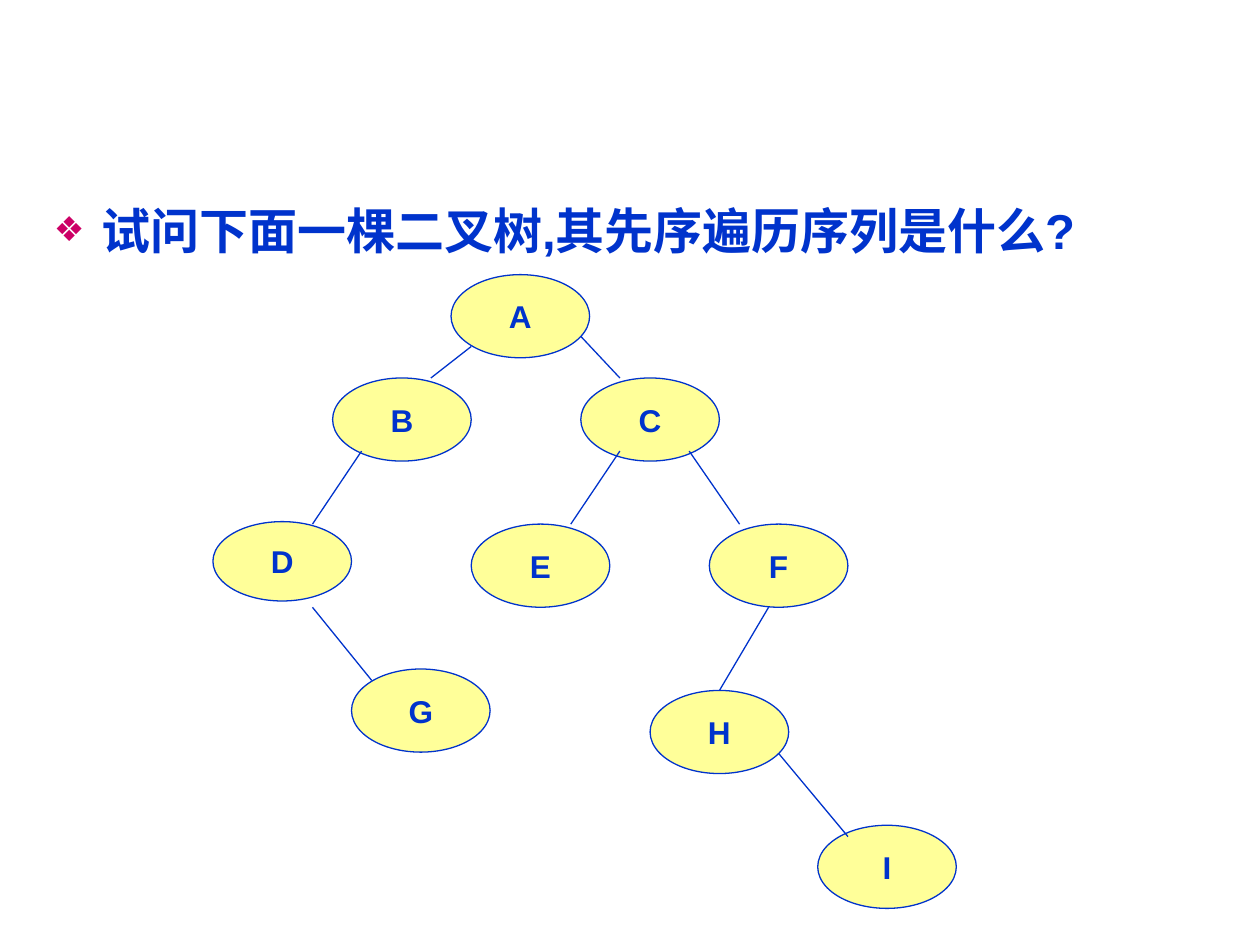
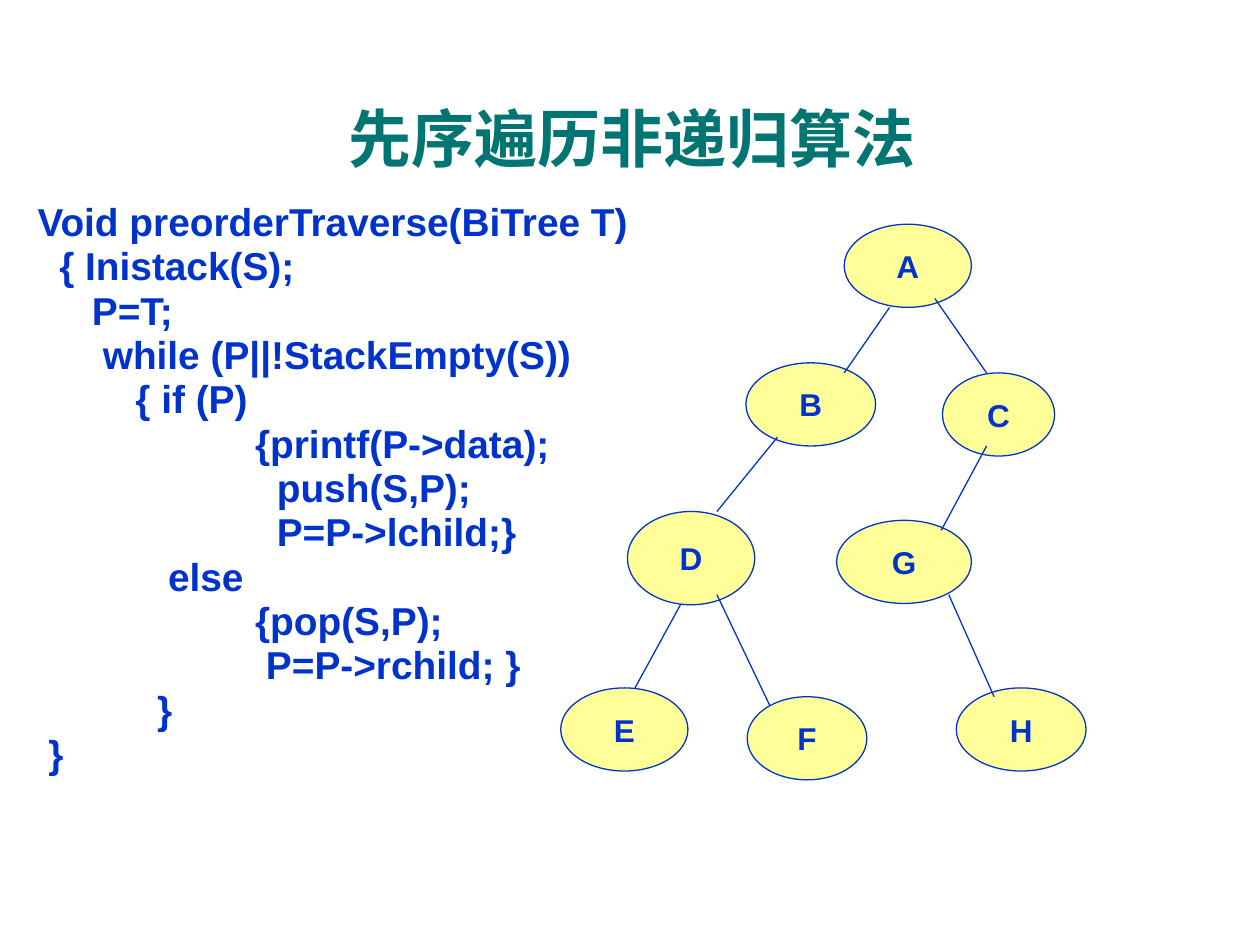
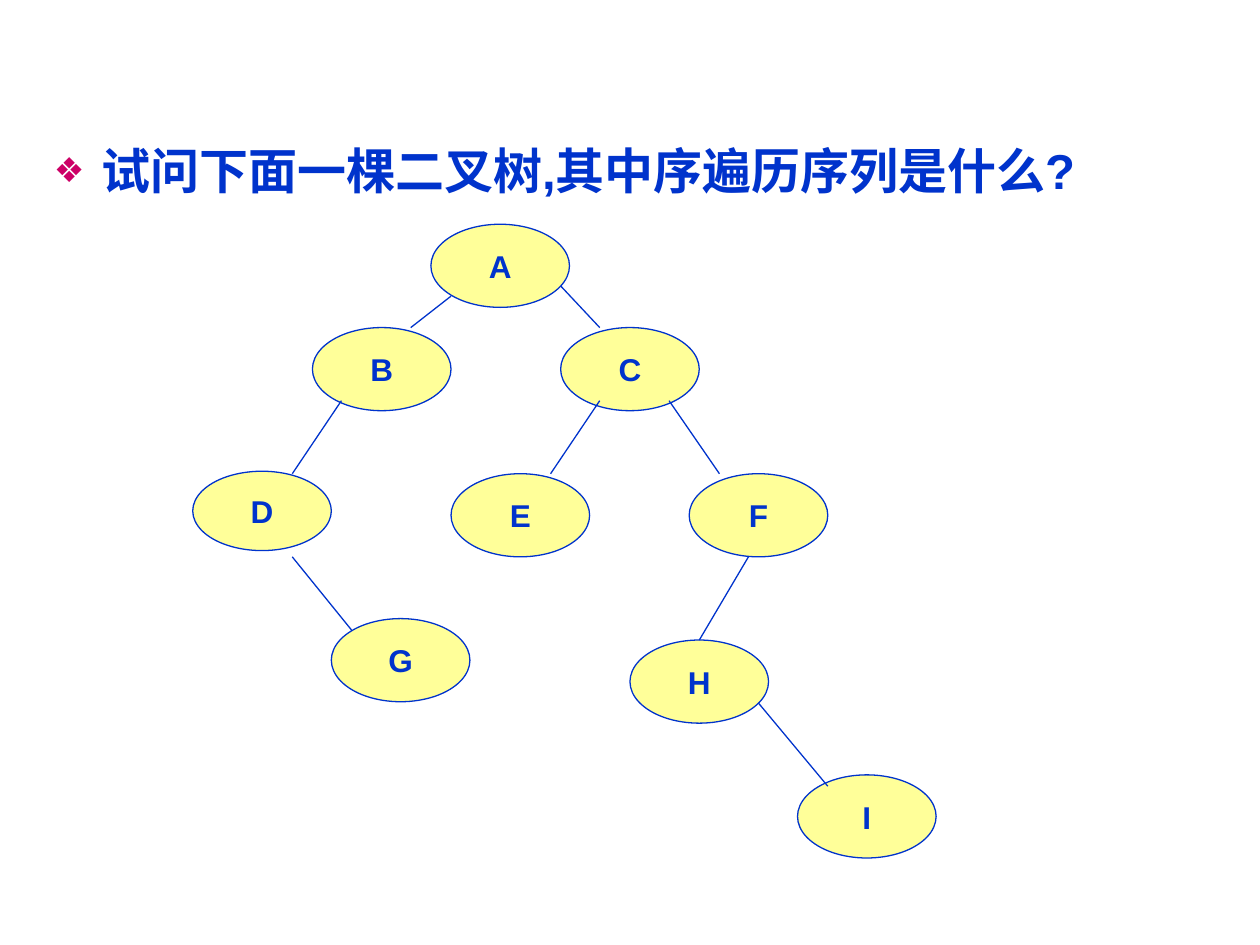
from dataclasses import dataclass

from lxml import etree
from pptx import Presentation
from pptx.dml.color import RGBColor
from pptx.enum.shapes import MSO_CONNECTOR, MSO_SHAPE
from pptx.enum.text import MSO_ANCHOR, PP_ALIGN
from pptx.oxml.ns import qn
from pptx.util import Inches, Pt

OVAL = MSO_SHAPE.OVAL
STRAIGHT = MSO_CONNECTOR.STRAIGHT
CENTER = PP_ALIGN.CENTER
TOP = MSO_ANCHOR.TOP
MIDDLE = MSO_ANCHOR.MIDDLE


@dataclass(frozen=True)
class Theme:
    font: str = "Arial"
    ink: str = "0033CC"
    title: str = "007572"
    node: str = "FFFF99"
    bullet: str = "CC0066"
    title_size: float = 36
    question_size: float = 28
    code_size: float = 22.2
    node_size: float = 18
    line_width: float = 0.75
    hanging: float = 0.38
    bullet_percent: int = 70


@dataclass(frozen=True)
class Box:
    left: float
    top: float
    width: float
    height: float

    def inches(self):
        return [Inches(side) for side in (self.left, self.top, self.width, self.height)]


@dataclass(frozen=True)
class Tree:
    nodes: dict
    edges: list
    width: float = 1.1
    height: float = 0.66


THEME = Theme()
CODE_STEP = THEME.code_size * 0.28 / 72

QUESTION_TREE = Tree(
    nodes={
        "D": (0, 1.96, 1.1, 0.63),
        "A": (1.89, 0),
        "B": (0.95, 0.82),
        "C": (2.92, 0.82),
        "G": (1.1, 3.13),
        "E": (2.05, 1.98),
        "F": (3.94, 1.98),
        "H": (3.47, 3.3),
        "I": (4.8, 4.37),
    },
    edges=[
        (2.05, 0.57, 1.73, 0.82),
        (1.18, 1.4, 0.79, 1.98),
        (3.78, 1.4, 4.18, 1.98),
        (0.79, 2.64, 1.26, 3.22),
        (2.92, 0.49, 3.23, 0.82),
        (3.23, 1.4, 2.84, 1.98),
        (4.41, 2.64, 4.02, 3.3),
        (4.49, 3.8, 5.04, 4.46),
    ],
)

ALGORITHM_TREE = Tree(
    nodes={
        "B": (1.47, 1.1, 1.03),
        "H": (3.14, 3.68, 1.03),
        "A": (2.25, 0),
        "C": (3.03, 1.18, 0.89),
        "D": (0.53, 2.28, 1.01, 0.74),
        "E": (0, 3.68),
        "F": (1.48, 3.75, 0.95),
        "G": (2.19, 2.35, 1.07),
    },
    edges=[
        (2.61, 0.66, 2.25, 1.18),
        (2.97, 0.59, 3.38, 1.18),
        (1.72, 1.69, 1.24, 2.28),
        (3.38, 1.76, 3.02, 2.43),
        (0.95, 3.02, 0.59, 3.68),
        (1.24, 2.94, 1.66, 3.82),
        (3.08, 2.94, 3.44, 3.75),
    ],
    width=1.01,
)

CODE_LINES = [
    (0, "Void preorderTraverse(BiTree T)"),
    (2, "{ Inistack(S);"),
    (5, "P=T;"),
    (6, "while (P||!StackEmpty(S))"),
    (9, "{ if (P)"),
    (20, "{printf(P->data);"),
    (22, "push(S,P);"),
    (22, "P=P->lchild;}"),
    (12, "else"),
    (20, "{pop(S,P);"),
    (21, "P=P->rchild; }"),
    (11, "}"),
    (1, "}"),
]


def apply_format(target, values):
    for name, value in values.items():
        setattr(target, name, value)


def write(para, text, size, color=THEME.ink, **layout):
    apply_format(para, layout)
    span = para.add_run()
    span.text = text
    apply_format(span.font, {"name": THEME.font, "size": Pt(size), "bold": True})
    span.font.color.rgb = RGBColor.from_string(color)


def add_text_frame(page, box, anchor=TOP):
    frame = page.shapes.add_textbox(*box.inches()).text_frame
    apply_format(frame, {"word_wrap": True, "vertical_anchor": anchor})
    return frame


def set_indent(para, left, first):
    properties = para._p.get_or_add_pPr()
    properties.set("marL", str(Inches(left)))
    properties.set("indent", str(Inches(first)))
    return properties


def add_bullet(para):
    properties = set_indent(para, THEME.hanging, -THEME.hanging)
    color = etree.SubElement(properties, qn("a:buClr"))
    etree.SubElement(color, qn("a:srgbClr"), val=THEME.bullet)
    etree.SubElement(properties, qn("a:buSzPct"), val=str(THEME.bullet_percent * 1000))
    etree.SubElement(properties, qn("a:buFont"), typeface=THEME.font)
    etree.SubElement(properties, qn("a:buChar"), char="❖")


def draw_title(page, box, text):
    para = add_text_frame(page, box, MIDDLE).paragraphs[0]
    write(para, text, THEME.title_size, THEME.title, alignment=CENTER)


def draw_question(page, box, text):
    para = add_text_frame(page, box).paragraphs[0]
    write(para, text, THEME.question_size, space_before=Pt(7))
    add_bullet(para)


def draw_code(page, box, lines):
    frame = add_text_frame(page, box)
    for number, (depth, text) in enumerate(lines):
        para = frame.add_paragraph() if number else frame.paragraphs[0]
        write(para, text, THEME.code_size, line_spacing=0.7, space_before=Pt(6.7))
        set_indent(para, depth * CODE_STEP, 0)


def draw_line_style(line):
    line.color.rgb = RGBColor.from_string(THEME.ink)
    line.width = Pt(THEME.line_width)


def draw_node(group, box, label):
    node = group.shapes.add_shape(OVAL, *box.inches())
    node.shadow.inherit = False
    node.fill.solid()
    node.fill.fore_color.rgb = RGBColor.from_string(THEME.node)
    draw_line_style(node.line)
    apply_format(node.text_frame, {"word_wrap": False, "vertical_anchor": MIDDLE})
    write(node.text_frame.paragraphs[0], label, THEME.node_size, alignment=CENTER)


def draw_edge(group, *ends):
    edge = group.shapes.add_connector(STRAIGHT, *[Inches(end) for end in ends])
    draw_line_style(edge.line)
    etree.SubElement(edge._element.spPr, qn("a:effectLst"))


def draw_tree(page, left, top, tree):
    group = page.shapes.add_group_shape()
    for label, (x, y, *size) in tree.nodes.items():
        width, height = (*size, *(tree.width, tree.height)[len(size):])
        draw_node(group, Box(left + x, top + y, width, height), label)
    for x1, y1, x2, y2 in tree.edges:
        draw_edge(group, left + x1, top + y1, left + x2, top + y2)


def add_page(deck):
    return deck.slides.add_slide(deck.slide_layouts[6])


def build_question_page(deck, box, text, tree_x, tree_y):
    page = add_page(deck)
    draw_question(page, box, text)
    draw_tree(page, box.left + tree_x, box.top + tree_y, QUESTION_TREE)


def build_algorithm_page(deck):
    page = add_page(deck)
    draw_title(page, Box(0.35, 0.76, 9.34, 0.66), "先序遍历非递归算法")
    draw_code(page, Box(0.2, 1.62, 5.43, 4.75), CODE_LINES)
    draw_tree(page, 4.45, 1.78, ALGORITHM_TREE)


def main():
    deck = Presentation()
    deck.slide_width, deck.slide_height = Inches(10), Inches(7.5)
    question = "试问下面一棵二叉树,其{}遍历序列是什么?"
    build_question_page(deck, Box(0.33, 1.54, 9, 5.59), question.format("先序"), 1.36, 0.64)
    build_algorithm_page(deck)
    build_question_page(deck, Box(0.33, 1.07, 9.34, 5.34), question.format("中序"), 1.2, 0.71)
    deck.save("out.pptx")


if __name__ == "__main__":
    main()
